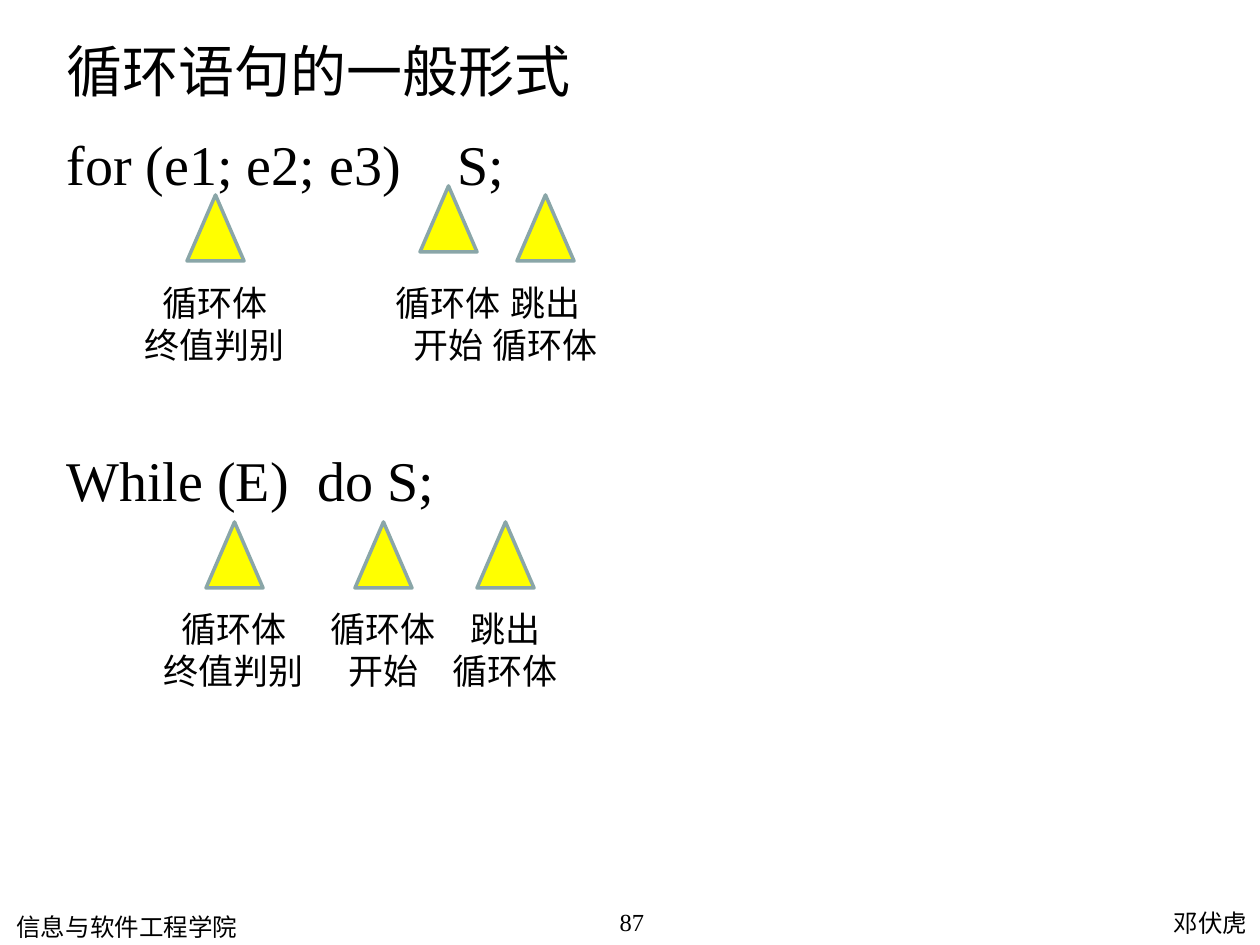
from pptx import Presentation, util as u
from pptx.dml.color import RGBColor
from pptx.enum import shapes, text
from pptx.oxml import parse_xml
from pptx.oxml.ns import nsdecls

SCALE = 914400 // 126
SERIF, SANS = "Times New Roman", "Noto Sans CJK SC"
LEFT, MID, RIGHT = text.PP_ALIGN.LEFT, text.PP_ALIGN.CENTER, text.PP_ALIGN.RIGHT
JUDGE, START, LEAVE = ("循环体", "终值判别"), ("循环体", "开始"), ("跳出", "循环体")


def px(n):
    return u.Emu(n * SCALE)


def color(code):
    return RGBColor.from_string(code)


def add_tab(para, pos):
    para._p.get_or_add_pPr().append(parse_xml(
        f'<a:tabLst {nsdecls("a")}><a:tab pos="{px(pos)}" algn="l"/></a:tabLst>'))


def add_text(slide, box, lines, size, font=SERIF, align=LEFT, wrap=True,
             gap=0, tabs=()):
    frame = slide.shapes.add_textbox(*map(px, box)).text_frame
    frame.word_wrap = wrap
    for i, line in enumerate(lines):
        para = frame.add_paragraph() if i else frame.paragraphs[0]
        para.text = line
        para.alignment = align
        if i and gap:
            para.space_before = u.Pt(gap)
        if tabs:
            add_tab(para, tabs[i])
        for key, val in {"name": font, "size": u.Pt(size)}.items():
            setattr(para.font, key, val)
        para.font.color.rgb = color("000000")


def add_mark(slide, mid, top):
    mark = slide.shapes.add_shape(
        shapes.MSO_SHAPE.ISOSCELES_TRIANGLE,
        *map(px, (mid - 28, top, 57, 66)))
    mark.shadow.inherit = False
    mark.fill.solid()
    mark.fill.fore_color.rgb = color("FFFF00")
    mark.line.color.rgb = color("8AA6A8")
    mark.line.width = u.Pt(2)


def add_note(slide, mid, top, lines):
    width = 131 if lines is START or lines is LEAVE else 166
    add_text(slide, (mid - width // 2, top, width, 97), lines, 20,
             align=MID, wrap=False)


def main():
    deck = Presentation()
    deck.slide_width, deck.slide_height = px(1260), px(945)
    slide = deck.slides.add_slide(deck.slide_layouts[6])

    # Title and the two loop forms
    add_text(slide, (54, 30, 902, 92), ["循环语句的一般形式"], 32)
    add_text(slide, (54, 123, 1142, 763),
             ["for (e1; e2; e3)\tS;", "While (E)\tdo S;"], 32,
             gap=142.5, tabs=(391, 251))

    # Marks under each loop, with a note centred below each mark
    loops = [
        (275, [(215, 195, JUDGE), (448, 186, START), (545, 195, LEAVE)]),
        (601, [(234, 522, JUDGE), (383, 522, START), (505, 522, LEAVE)]),
    ]
    for base, marks in loops:
        for mid, top, lines in marks:
            add_mark(slide, mid, top)
            add_note(slide, mid, base, lines)

    # Footer
    add_text(slide, (738, 902, 522, 50), ["邓伏虎"], 14, SANS, RIGHT)
    add_text(slide, (4, 906, 522, 50), ["信息与软件工程学院"], 14, SANS)
    add_text(slide, (552, 901, 160, 50), ["87"], 14, align=MID)

    deck.save("out.pptx")


if __name__ == "__main__":
    main()
